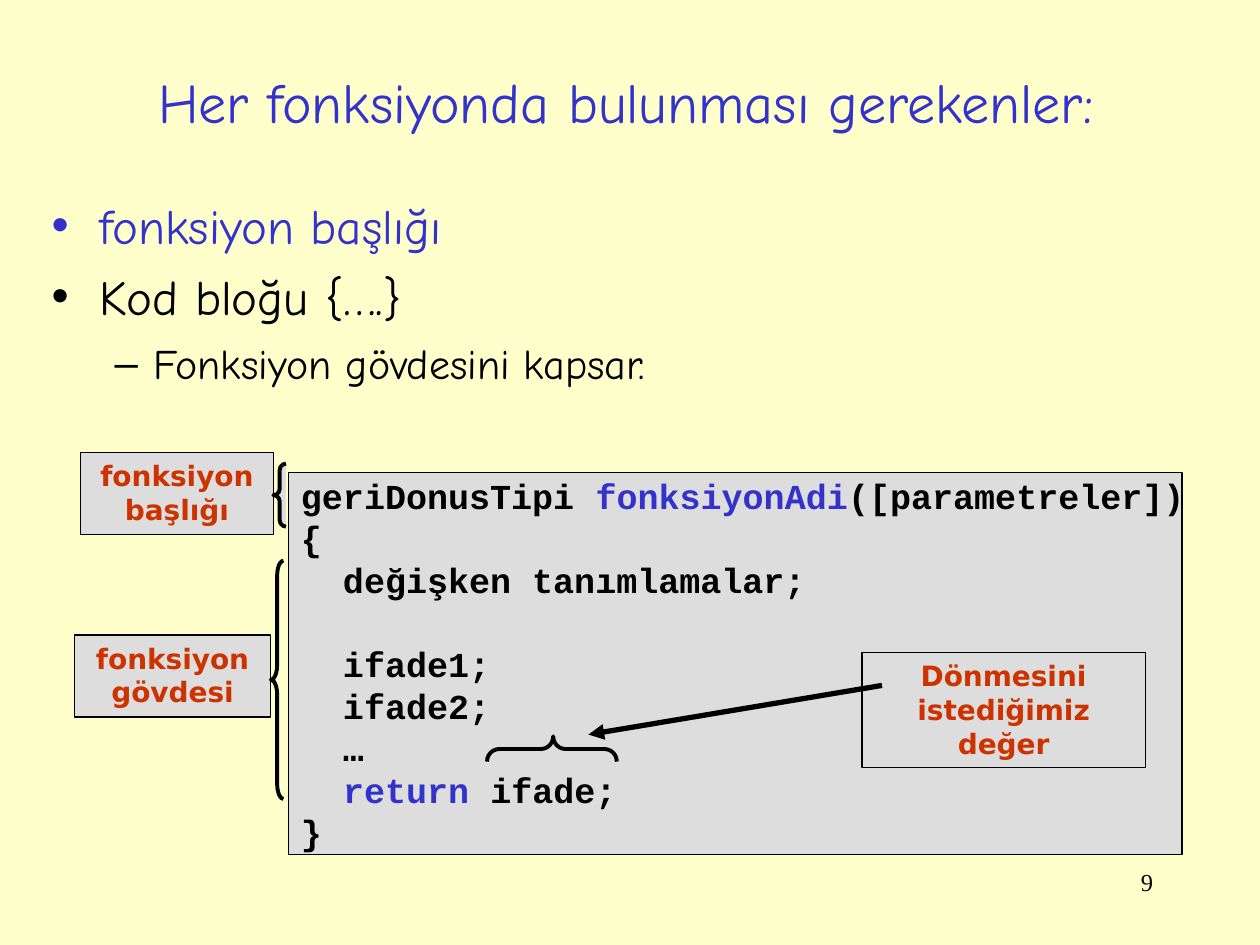
from lxml.etree import SubElement
from pptx import Presentation
from pptx.dml.color import RGBColor
from pptx.enum.shapes import MSO_CONNECTOR, MSO_SHAPE
from pptx.enum.text import MSO_ANCHOR, MSO_AUTO_SIZE, PP_ALIGN
from pptx.oxml.ns import qn
from pptx.util import Inches, Pt

COLORS = {"background": "FFFFCC", "blue": "3333CC", "black": "000000",
          "gray": "DDDDDD", "red": "CC3300"}
HAND, CODE, LABEL, NUMBER = "Comic Neue", "Courier New", "DejaVu Sans", "Times New Roman"

# Content
TITLE = "Her fonksiyonda bulunması gerekenler:"
# text, level, size, color
BULLETS = [
    ("fonksiyon başlığı", 0, 28, "blue"),
    ("Kod bloğu {….}", 0, 28, "black"),
    ("Fonksiyon gövdesini kapsar.", 1, 24, "black"),
]
# bullet character, left margin, first-line indent for each level
LEVELS = [("•", 0.38, -0.38), ("–", 0.81, -0.31)]
CODE_LINES = [
    [("geriDonusTipi ", "black"), ("fonksiyonAdi", "blue"), ("([parametreler])", "black")],
    [("{", "black")],
    [("  değişken tanımlamalar;", "black")],
    [("   ", "black")],
    [("  ifade1;", "black")],
    [("  ifade2;", "black")],
    [("  …", "black")],
    [("  ", "black"), ("return ", "blue"), ("ifade;", "black")],
    [("}", "black")],
]
# text, position, fill
LABELS = [
    ("fonksiyon başlığı", (0.64, 3.59, 1.53, 0.65), "gray"),
    ("fonksiyon gövdesi", (0.59, 5.04, 1.56, 0.65), "gray"),
    ("Dönmesini istediğimiz değer", (6.84, 5.18, 2.25, 0.91), None),
]
# position, rotation, curve, tip, fill
BRACES = [
    ((2.17, 3.68, 0.1, 0.5), 0, 0.5, 0.5, "gray"),
    ((2.15, 4.45, 0.1, 1.89), 0, 1.17, 0.5, None),
    ((4.28, 5.43, 0.2, 1.03), 90, 0.49, 0.49, None),
]


def rgb(name):
    return RGBColor.from_string(COLORS[name])


def inches(values):
    return [Inches(value) for value in values]


def style(font, name, size, color, bold=False):
    font.name, font.size, font.bold = name, Pt(size), bold
    font.color.rgb = rgb(color)


def place(shape, position):
    shape.left, shape.top, shape.width, shape.height = inches(position)


def add_outlined(slide, kind, position, fill, line_width):
    shape = slide.shapes.add_shape(kind, *inches(position))
    shape.shadow.inherit = False
    if fill:
        shape.fill.solid()
        shape.fill.fore_color.rgb = rgb(fill)
    else:
        shape.fill.background()
    shape.line.color.rgb = rgb("black")
    shape.line.width = Pt(line_width)
    return shape


def add_bullet(paragraph, level):
    character, margin, indent = LEVELS[level]
    paragraph.level = level
    properties = paragraph._p.get_or_add_pPr()
    properties.set("marL", str(Inches(margin)))
    properties.set("indent", str(Inches(indent)))
    SubElement(properties, qn("a:buChar")).set("char", character)


def add_title(slide):
    title = slide.shapes.title
    place(title, (0.72, 0.15, 8.5, 1.3))
    frame = title.text_frame
    frame.text = TITLE
    frame.auto_size = MSO_AUTO_SIZE.NONE
    frame.vertical_anchor = MSO_ANCHOR.MIDDLE
    frame.paragraphs[0].alignment = PP_ALIGN.CENTER
    style(frame.paragraphs[0].runs[0].font, HAND, 32, "blue")


def add_body(slide):
    body = slide.placeholders[1]
    place(body, (0.31, 1.5, 9.42, 1.72))
    frame = body.text_frame
    frame.text = "\n".join(text for text, *_ in BULLETS)
    frame.auto_size = MSO_AUTO_SIZE.NONE
    for index, (paragraph, bullet) in enumerate(zip(frame.paragraphs, BULLETS)):
        _, level, size, color = bullet
        add_bullet(paragraph, level)
        paragraph.space_before = Pt(7 if index else 0)
        style(paragraph.runs[0].font, HAND, size, color)


def add_code(slide):
    box = add_outlined(slide, MSO_SHAPE.RECTANGLE, (2.29, 3.75, 7.09, 3.03), "gray", 0.75)
    frame = box.text_frame
    frame.word_wrap = False
    frame.vertical_anchor = MSO_ANCHOR.MIDDLE
    for index, parts in enumerate(CODE_LINES):
        paragraph = frame.add_paragraph() if index else frame.paragraphs[0]
        paragraph.alignment = PP_ALIGN.LEFT
        for text, color in parts:
            run = paragraph.add_run()
            run.text = text
            style(run.font, CODE, 20, color, bold=True)


def add_label(slide, text, position, fill):
    box = add_outlined(slide, MSO_SHAPE.RECTANGLE, position, fill, 0.75)
    frame = box.text_frame
    frame.text = text
    frame.word_wrap = True
    frame.auto_size = MSO_AUTO_SIZE.SHAPE_TO_FIT_TEXT
    frame.vertical_anchor = MSO_ANCHOR.TOP
    frame.paragraphs[0].alignment = PP_ALIGN.CENTER
    style(frame.paragraphs[0].runs[0].font, LABEL, 16, "red", bold=True)


def add_brace(slide, position, rotation, curve, tip, fill):
    brace = add_outlined(slide, MSO_SHAPE.LEFT_BRACE, position, fill, 2.25)
    brace.rotation = rotation
    brace.adjustments[0], brace.adjustments[1] = curve, tip


def add_arrow(slide, start, end):
    arrow = slide.shapes.add_connector(MSO_CONNECTOR.STRAIGHT, *inches(start + end))
    arrow.line.color.rgb = rgb("black")
    arrow.line.width = Pt(3)
    SubElement(arrow.line._get_or_add_ln(), qn("a:tailEnd")).set("type", "triangle")
    SubElement(arrow._element.spPr, qn("a:effectLst"))


def add_page_number(slide):
    box = slide.shapes.add_textbox(*inches((7.17, 6.83, 2.08, 0.5)))
    frame = box.text_frame
    frame.text = "9"
    frame.word_wrap = True
    frame.paragraphs[0].alignment = PP_ALIGN.RIGHT
    style(frame.paragraphs[0].runs[0].font, NUMBER, 14, "black")


def main():
    presentation = Presentation()
    presentation.slide_width, presentation.slide_height = Inches(10), Inches(7.5)
    slide = presentation.slides.add_slide(presentation.slide_layouts[1])
    slide.background.fill.solid()
    slide.background.fill.fore_color.rgb = rgb("background")

    # Heading and list
    add_title(slide)
    add_body(slide)
    # Annotated code
    add_code(slide)
    for label in LABELS:
        add_label(slide, *label)
    for brace in BRACES:
        add_brace(slide, *brace)
    add_arrow(slide, (7, 5.44), (4.67, 5.83))
    # Footer
    add_page_number(slide)
    presentation.save("out.pptx")


if __name__ == "__main__":
    main()
